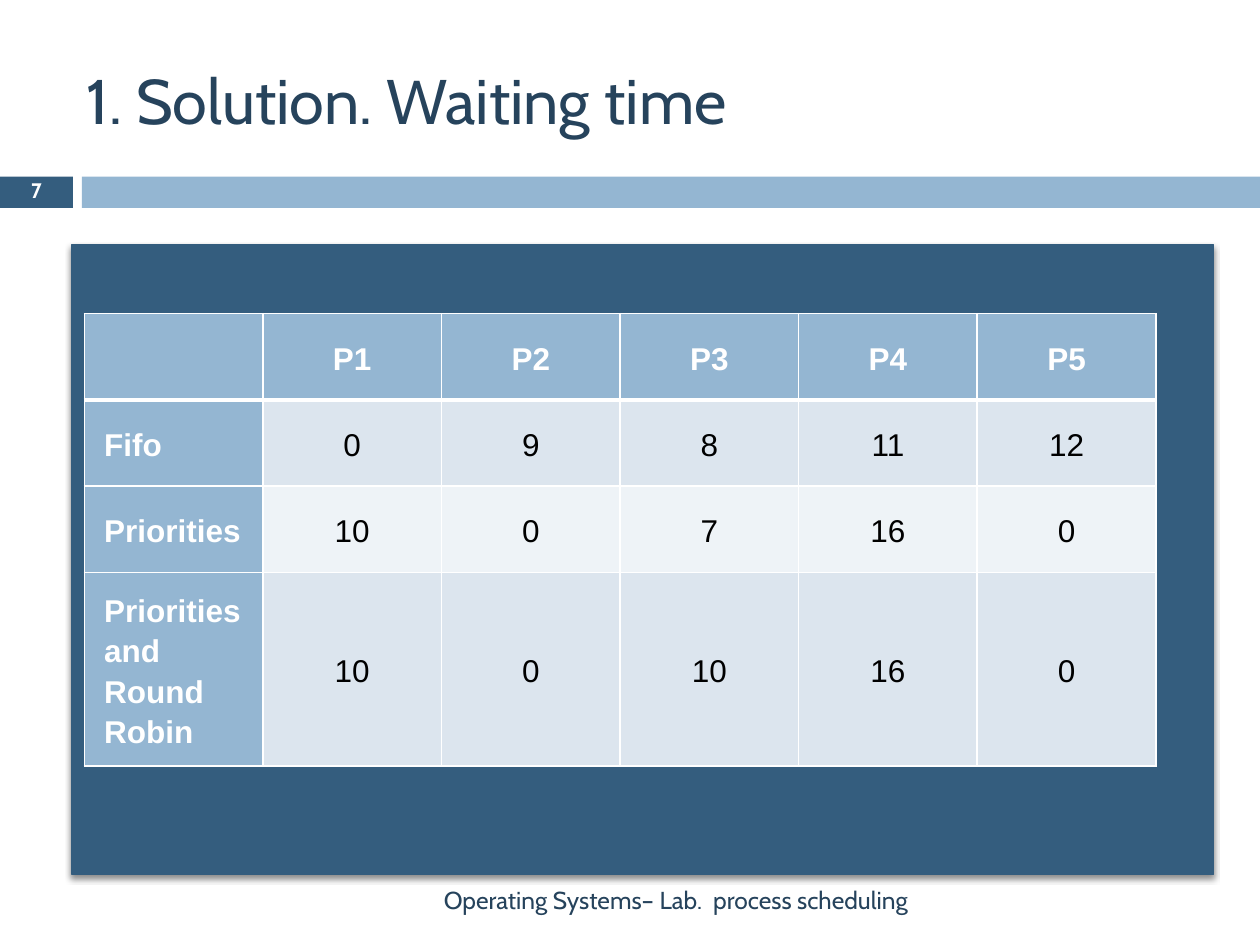
import pptx
import pptx.util
import pptx.dml.color
import pptx.enum.shapes
import pptx.enum.text
import pptx.oxml
import lxml.etree

Cm, Pt = pptx.util.Cm, pptx.util.Pt
ALIGN = pptx.enum.text.PP_ALIGN
MIDDLE = pptx.enum.text.MSO_ANCHOR.MIDDLE
RECT = pptx.enum.shapes.MSO_SHAPE.RECTANGLE
NS = 'xmlns:a="http://schemas.openxmlformats.org/drawingml/2006/main"'
NAVY, BLUE, INK, WHITE = "345D7E", "94B6D2", "26435C", "FFFFFF"


def rgb(color):
    return pptx.dml.color.RGBColor.from_string(color)


def style(tf, size, font, color, align, bold=False):
    tf.word_wrap = True
    p = tf.paragraphs[0]
    p.alignment = align
    for r in p.runs:
        r.font.size, r.font.name, r.font.bold = Pt(size), font, bold
        r.font.color.rgb = rgb(color)
    return p


prs = pptx.Presentation()
prs.slide_width, prs.slide_height = Cm(25.4), Cm(19.05)
s = prs.slides.add_slide(prs.slide_layouts[6])

# Bars below the title and the large panel
for x, y, w, h, fill in [
    (0, 3.56, 1.47, 0.63, NAVY),
    (1.65, 3.56, 23.75, 0.63, BLUE),
    (1.45, 4.93, 23.01, 12.7, NAVY),
]:
    panel = s.shapes.add_shape(RECT, Cm(x), Cm(y), Cm(w), Cm(h))
    panel.shadow.inherit = False
    panel.fill.solid()
    panel.fill.fore_color.rgb = rgb(fill)
    panel.line.fill.background()

# Outline and soft shadow of the panel
panel.line.color.rgb = rgb(NAVY)
panel.line.width = Pt(0.79)
effects = panel._element.spPr.find(pptx.oxml.ns.qn("a:effectLst"))
effects.append(lxml.etree.fromstring(
    f'<a:outerShdw {NS} blurRad="{Pt(3)}" dist="{Pt(2.4)}" dir="5400000" rotWithShape="0">'
    '<a:srgbClr val="000000"><a:alpha val="45000"/></a:srgbClr></a:outerShdw>'))

# Title, page number and footer
for text, x, y, w, h, size, color, align, bold, spacing in [
    ("1. Solution. Waiting time", 1.5, 0.64, 24.2, 2.74, 36, INK, ALIGN.LEFT, False, 1.0),
    ("7", 0, 3.53, 1.47, 0.69, 12, WHITE, ALIGN.CENTER, True, 0.8),
    ("Operating Systems– Lab.  process scheduling",
     3.5, 17.63, 15.06, 1.02, 14, INK, ALIGN.RIGHT, False, 1.0),
]:
    tf = s.shapes.add_textbox(Cm(x), Cm(y), Cm(w), Cm(h)).text_frame
    tf.text = text
    tf.vertical_anchor = MIDDLE
    p = style(tf, size, "Cabin", color, align, bold)
    p.line_spacing = spacing

# Waiting time table
rows = [
    ["", "P1", "P2", "P3", "P4", "P5"],
    ["Fifo", "0", "9", "8", "11", "12"],
    ["Priorities", "10", "0", "7", "16", "0"],
    ["Priorities and Round Robin", "10", "0", "10", "16", "0"],
]
heights = [1.74, 1.74, 1.74, 2.77]
table = s.shapes.add_table(len(rows), len(rows[0]), Cm(1.7), Cm(6.32),
                           Cm(21.6), Cm(sum(heights))).table
for col in table.columns:
    col.width = Cm(3.6)
for i, row in enumerate(rows):
    table.rows[i].height = Cm(heights[i])
    for j, text in enumerate(row):
        cell = table.cell(i, j)
        header = i == 0 or j == 0
        cell.text = text
        cell.vertical_anchor = MIDDLE
        cell.margin_left = cell.margin_right = Cm(0.4)
        cell.margin_top = cell.margin_bottom = Cm(0.2)
        p = style(cell.text_frame, 18, "Arial", WHITE if header else "000000",
                  ALIGN.LEFT if j == 0 else ALIGN.CENTER, header)
        p.line_spacing, p.space_before, p.space_after = 1.15, Pt(12), Pt(10)

        # Borders, with a thick rule under the header row
        tc_pr = cell._tc.get_or_add_tcPr()
        for side in ("L", "R", "T", "B"):
            thick = (i, side) in [(0, "B"), (1, "T")]
            tc_pr.append(lxml.etree.fromstring(
                f'<a:ln{side} {NS} w="{Pt(3 if thick else 1)}"><a:solidFill>'
                f'<a:srgbClr val="{WHITE}"/></a:solidFill></a:ln{side}>'))
        cell.fill.solid()
        cell.fill.fore_color.rgb = rgb(BLUE if header else "DCE5EE" if i % 2 else "EEF3F7")

prs.save("out.pptx")
